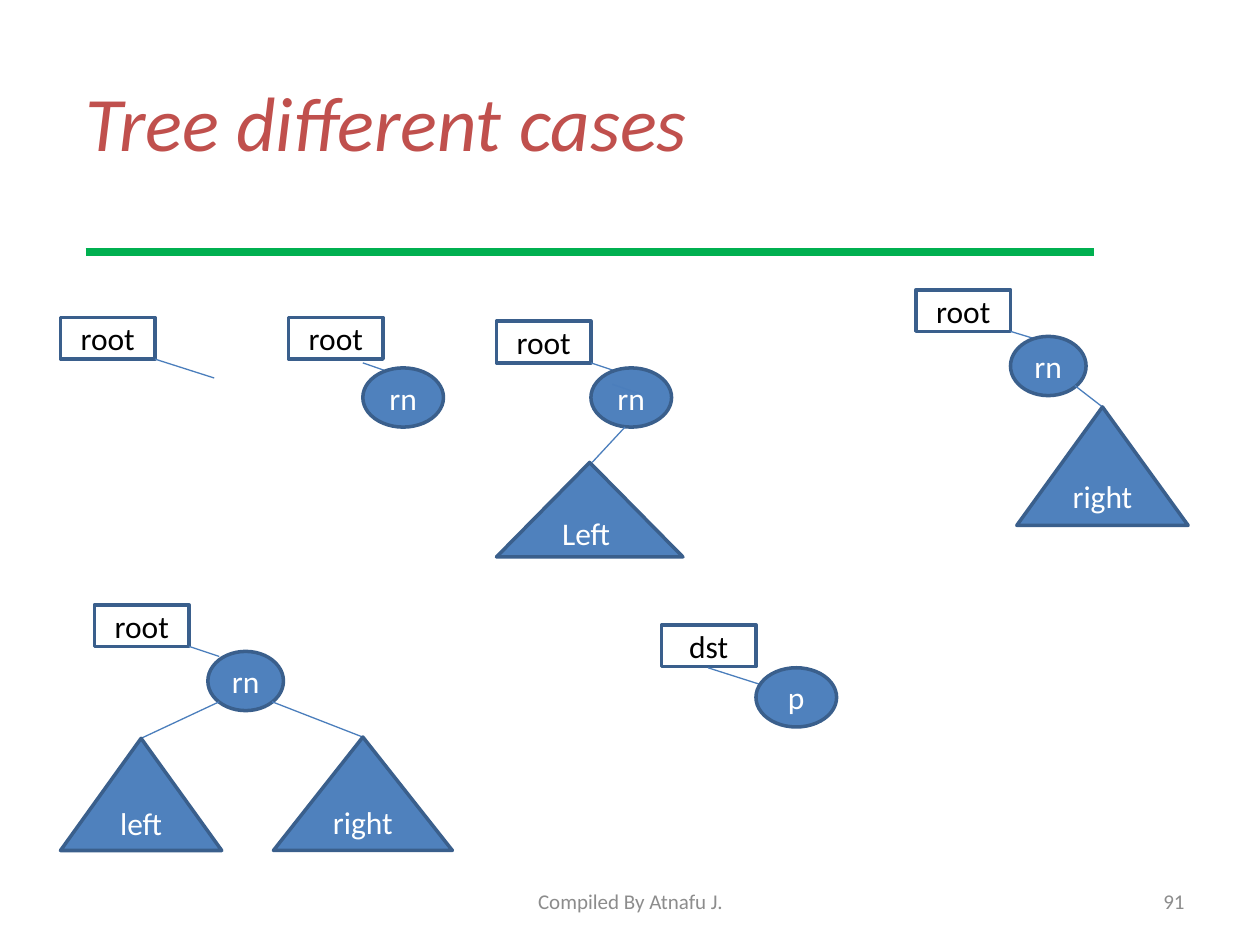
from dataclasses import dataclass

from lxml.etree import SubElement
from pptx import Presentation
from pptx.dml.color import RGBColor
from pptx.enum.shapes import MSO_CONNECTOR, MSO_SHAPE
from pptx.enum.text import MSO_ANCHOR, PP_ALIGN
from pptx.oxml.ns import qn
from pptx.util import Inches, Pt


@dataclass(frozen=True)
class Theme:
    face: str = "Calibri"
    red: str = "C0504D"
    green: str = "00B050"
    gray: str = "8C8C8C"
    black: str = "000000"
    white: str = "FFFFFF"
    blue: str = "4F81BD"
    edge: str = "3A5F8C"
    link: str = "4B7EBC"
    title: int = 44
    body: int = 18
    foot: int = 12


class Deck:
    def __init__(self, theme, slide):
        self.theme, self.slide = theme, slide

    def style(self, shape, text, size, color, align, wrap, **extra):
        frame = shape.text_frame
        frame.text = text
        para = frame.paragraphs[0]
        para.alignment = align
        for key, value in dict(word_wrap=wrap, vertical_anchor=MSO_ANCHOR.MIDDLE).items():
            setattr(frame, key, value)
        font = para.runs[0].font
        for key, value in dict(name=self.theme.face, size=Pt(size), **extra).items():
            setattr(font, key, value)
        font.color.rgb = RGBColor.from_string(color)

    def text(self, box, text, size, color, align, **extra):
        shape = self.slide.shapes.add_textbox(*map(Inches, box))
        self.style(shape, text, size, color, align, True, **extra)

    def shape(self, kind, box, text, fill, color):
        shape = self.slide.shapes.add_shape(kind, *map(Inches, box))
        shape.shadow.inherit = False
        shape.fill.solid()
        shape.fill.fore_color.rgb = RGBColor.from_string(fill)
        shape.line.color.rgb = RGBColor.from_string(self.theme.edge)
        shape.line.width = Pt(2)
        self.style(shape, text, self.theme.body, color, PP_ALIGN.CENTER, False)

    def label(self, x, y, text="root"):
        self.shape(MSO_SHAPE.RECTANGLE, (x, y, 0.75, 0.33), text,
                   self.theme.white, self.theme.black)

    def node(self, x, y, wide, text="rn"):
        self.shape(MSO_SHAPE.OVAL, (x, y, wide, 0.47), text,
                   self.theme.blue, self.theme.white)

    def branch(self, x, y, wide, high, text):
        self.shape(MSO_SHAPE.ISOSCELES_TRIANGLE, (x, y, wide, high), text,
                   self.theme.blue, self.theme.white)

    def line(self, x1, y1, x2, y2, color=None, width=0.75):
        line = self.slide.shapes.add_connector(
            MSO_CONNECTOR.STRAIGHT, *map(Inches, (x1, y1, x2, y2)))
        line.line.color.rgb = RGBColor.from_string(color or self.theme.link)
        line.line.width = Pt(width)
        SubElement(line._element.spPr, qn("a:effectLst"))


def main():
    show = Presentation()
    show.slide_width, show.slide_height = Inches(10), Inches(7.5)
    theme = Theme()
    deck = Deck(theme, show.slides.add_slide(show.slide_layouts[6]))

    # Title, rule and footer
    deck.text((0.58, 0.33, 9, 1.25), "Tree different cases", theme.title,
              theme.red, PP_ALIGN.LEFT, italic=True)
    deck.line(0.68, 2, 8.68, 2, theme.green, 4.25)
    deck.text((7.17, 6.95, 2.33, 0.4), "91", theme.foot, theme.gray, PP_ALIGN.RIGHT)
    deck.text((3.42, 6.95, 3.17, 0.4), "Compiled By Atnafu J.", theme.foot,
              theme.gray, PP_ALIGN.CENTER)

    # Empty tree
    deck.label(0.48, 2.52)
    deck.line(1.23, 2.85, 1.7, 3)

    # Single node
    deck.label(2.29, 2.52)
    deck.line(2.88, 2.88, 3.11, 2.96)
    deck.node(2.88, 2.92, 0.64)

    # Left subtree only
    deck.label(3.94, 2.55)
    deck.line(4.69, 2.88, 4.93, 2.96)
    deck.node(4.69, 2.92, 0.64)
    deck.line(4.86, 3.05, 5.09, 3.13)
    deck.line(4.96, 3.39, 4.7, 3.67)
    deck.branch(3.94, 3.67, 1.48, 0.75, "Left ")

    # Right subtree only
    deck.label(7.27, 2.3)
    deck.line(8.02, 2.63, 8.25, 2.7)
    deck.node(8.02, 2.67, 0.6)
    deck.line(8.53, 3.06, 8.75, 3.23)
    deck.branch(8.07, 3.23, 1.36, 0.94, "right")

    # Both subtrees
    deck.label(0.75, 4.8)
    deck.line(1.5, 5.13, 1.74, 5.21)
    deck.node(1.65, 5.17, 0.6)
    deck.line(1.74, 5.57, 1.12, 5.86)
    deck.branch(0.48, 5.86, 1.28, 0.89, "left")
    deck.line(2.16, 5.57, 2.88, 5.85)
    deck.branch(2.17, 5.85, 1.42, 0.9, "right")

    # Destination pointer
    deck.label(5.25, 4.96, "dst")
    deck.line(5.62, 5.3, 6.09, 5.45)
    deck.node(6, 5.3, 0.64, "p")

    show.save("out.pptx")


if __name__ == "__main__":
    main()
